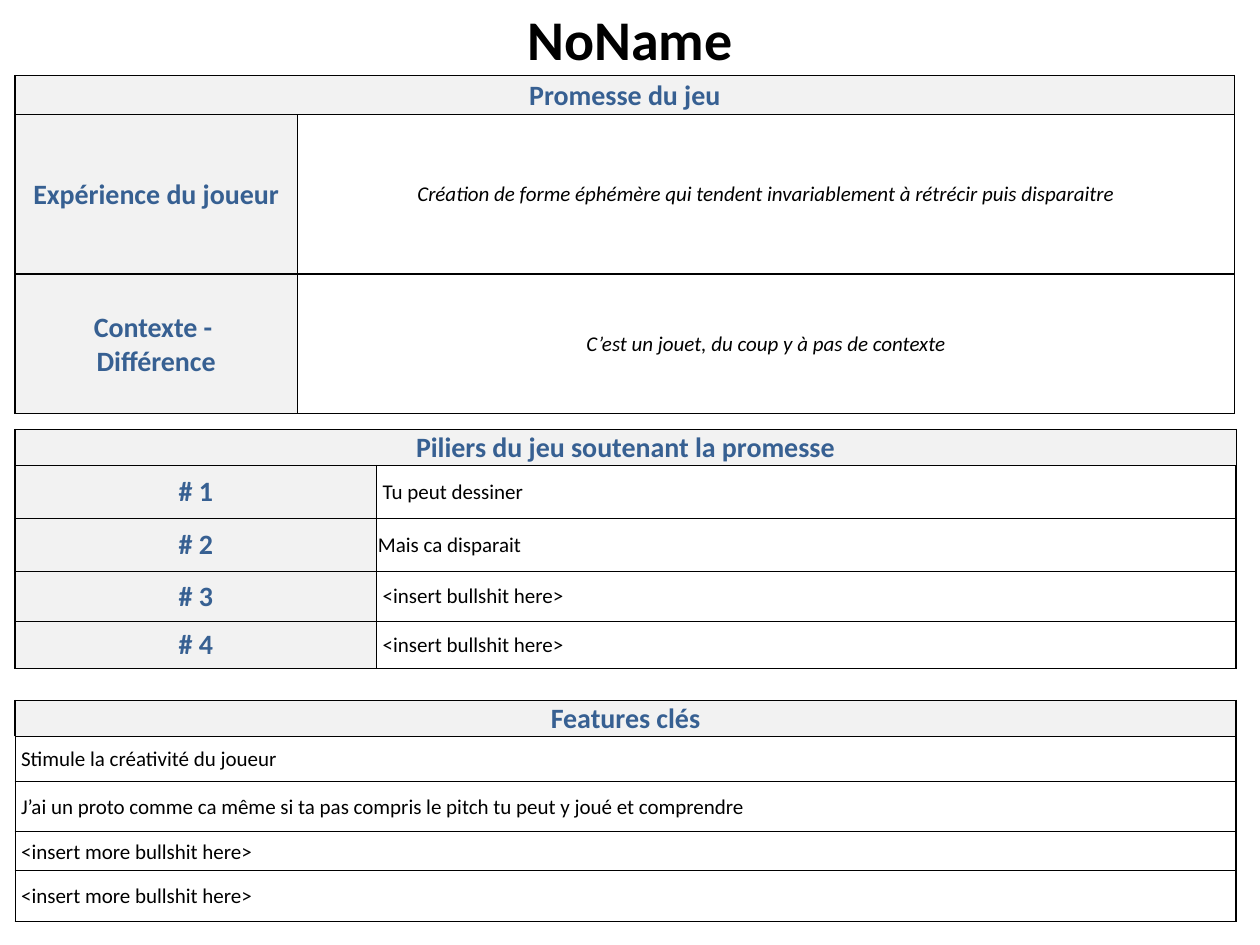
from lxml import etree
from pptx import Presentation
from pptx import util as u
from pptx.dml.color import RGBColor
from pptx.enum import text
from pptx.oxml import ns

# Content: each row is (label, entry); a single item spans the table
TITLE = "NoName"
HOLE = " <insert bullshit here>"
MORE = " <insert more bullshit here>"
TABLES = [
    dict(top=0.6, cols=[2.24, 7.44], heights=[0.31, 1.26],
         header=True, italic=True, left=1, bottom=1,
         rows=[["Promesse du jeu"],
               ["Expérience du joueur",
                "Création de forme éphémère qui tendent invariablement "
                "à rétrécir puis disparaitre"]]),
    dict(top=2.18, cols=[2.24, 7.44], heights=[1.1],
         header=False, italic=True, left=1, bottom=0.5,
         rows=[["Contexte - \nDifférence",
                "C’est un jouet, du coup y à pas de contexte"]]),
    dict(top=3.41, cols=[2.87, 6.82], heights=[0.28, 0.42, 0.42, 0.4, 0.37],
         header=True, italic=False, left=1, bottom=0.5,
         rows=[["Piliers du jeu soutenant la promesse"],
               ["# 1", " Tu peut dessiner"],
               ["# 2", "Mais ca disparait"],
               ["# 3", HOLE],
               ["# 4", HOLE]]),
    dict(top=5.56, cols=[9.69], heights=[0.28, 0.36, 0.4, 0.31, 0.4],
         header=True, italic=False, left=0.5, bottom=0.5,
         rows=[["Features clés"],
               [" Stimule la créativité du joueur"],
               [" J’ai un proto comme ca même si ta pas compris le pitch "
                "tu peut y joué et comprendre"],
               [MORE],
               [MORE]]),
]
LEFT = 0.12
FONT, BLACK, BLUE, GREY = "Calibri", "000000", "376092", "F2F2F2"
OUTER, INNER = 1, 0.5


def color(hex_code):
    return RGBColor.from_string(hex_code)


def write(tf, content, size, hex_code, align, bold=False, italic=False):
    for i, line in enumerate(content.split("\n")):
        p = tf.add_paragraph() if i else tf.paragraphs[0]
        p.alignment = align
        r = p.add_run()
        r.text = line
        r.font.name, r.font.size = FONT, u.Pt(size)
        r.font.bold, r.font.italic = bold, italic
        r.font.color.rgb = color(hex_code)


def set_borders(cell, widths):
    tc_pr = cell._tc.get_or_add_tcPr()
    for side, width in zip("LRTB", widths):
        ln = etree.SubElement(tc_pr, ns.qn("a:ln" + side), w=str(u.Pt(width)))
        fill = etree.SubElement(ln, ns.qn("a:solidFill"))
        etree.SubElement(fill, ns.qn("a:srgbClr"), val=BLACK)


def fill_cell(cell, content, is_label, italic, align):
    cell.margin_left = cell.margin_right = cell.margin_top = u.Inches(0.01)
    cell.margin_bottom = 0
    cell.vertical_anchor = text.MSO_ANCHOR.MIDDLE
    if is_label:
        cell.fill.solid()
        cell.fill.fore_color.rgb = color(GREY)
        write(cell.text_frame, content, 16, BLUE, text.PP_ALIGN.CENTER, bold=True)
    else:
        cell.fill.background()
        write(cell.text_frame, content, 12, BLACK, align, italic=italic)


def add_grid(s, grid):
    rows, cols, heights = grid["rows"], grid["cols"], grid["heights"]
    n_rows, n_cols = len(rows), len(cols)
    table = s.shapes.add_table(n_rows, n_cols, u.Inches(LEFT), u.Inches(grid["top"]),
                               u.Inches(sum(cols)), u.Inches(sum(heights))).table
    table.first_row = table.horz_banding = False
    for column, width in zip(table.columns, cols):
        column.width = u.Inches(width)
    for row, height in zip(table.rows, heights):
        row.height = u.Inches(height)

    # Heavier lines on the outside, thin ones between cells
    for i in range(n_rows):
        for j in range(n_cols):
            is_header = grid["header"] and i == 0
            left = OUTER if is_header else grid["left"]
            set_borders(table.cell(i, j), (
                INNER if j else left,
                OUTER if j == n_cols - 1 else INNER,
                INNER if i else OUTER,
                grid["bottom"] if i == n_rows - 1 else INNER))

    align = text.PP_ALIGN.CENTER if grid["italic"] else text.PP_ALIGN.LEFT
    for i, row in enumerate(rows):
        is_header = grid["header"] and i == 0
        if len(row) < n_cols:
            table.cell(i, 0).merge(table.cell(i, n_cols - 1))
        for j, content in enumerate(row):
            is_label = is_header or j < n_cols - 1
            fill_cell(table.cell(i, j), content, is_label, grid["italic"], align)


def main():
    prs = Presentation()
    prs.slide_width, prs.slide_height = u.Inches(10), u.Inches(7.5)
    s = prs.slides.add_slide(prs.slide_layouts[5])

    # Title
    sp = s.shapes.title
    sp.left, sp.top, sp.width, sp.height = 0, 0, u.Inches(10), u.Inches(0.6)
    sp.text_frame.vertical_anchor = text.MSO_ANCHOR.MIDDLE
    write(sp.text_frame, TITLE, 32, BLACK, text.PP_ALIGN.CENTER, bold=True)

    # Tables
    for grid in TABLES:
        add_grid(s, grid)
    prs.save("out.pptx")


if __name__ == "__main__":
    main()
